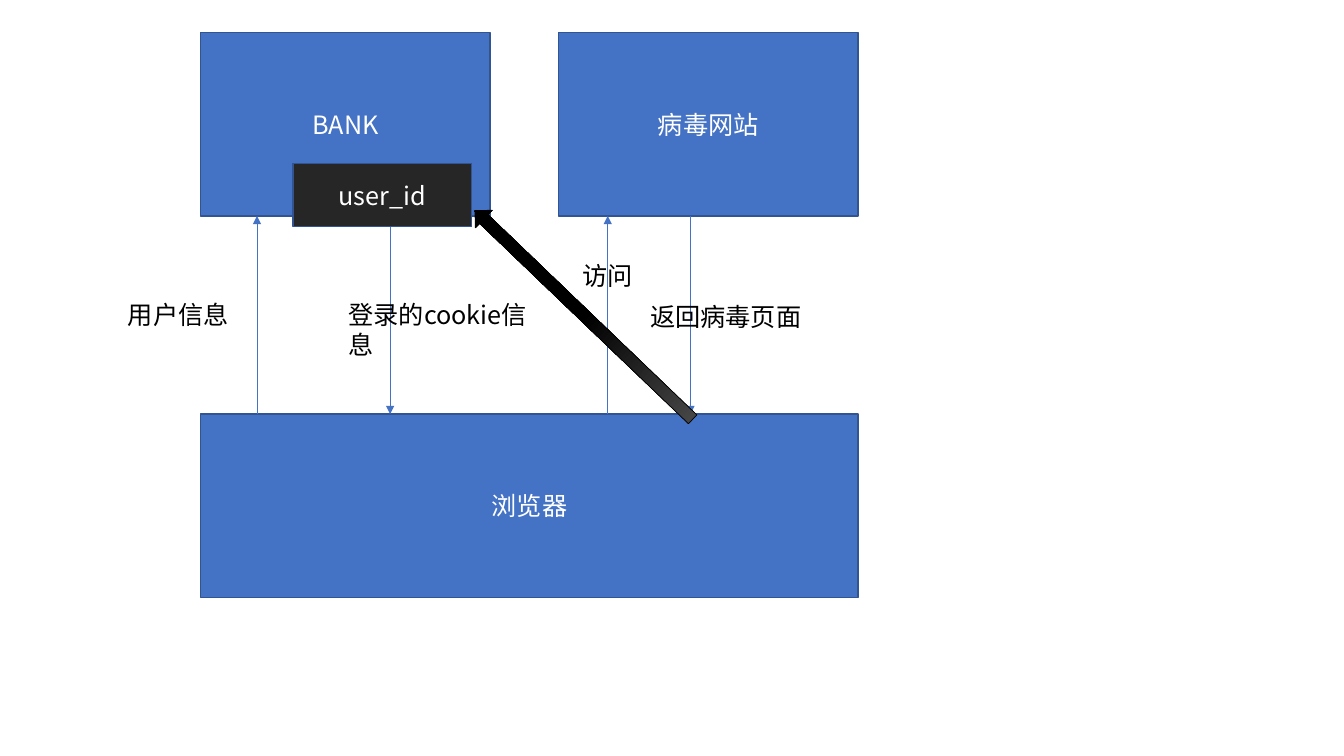
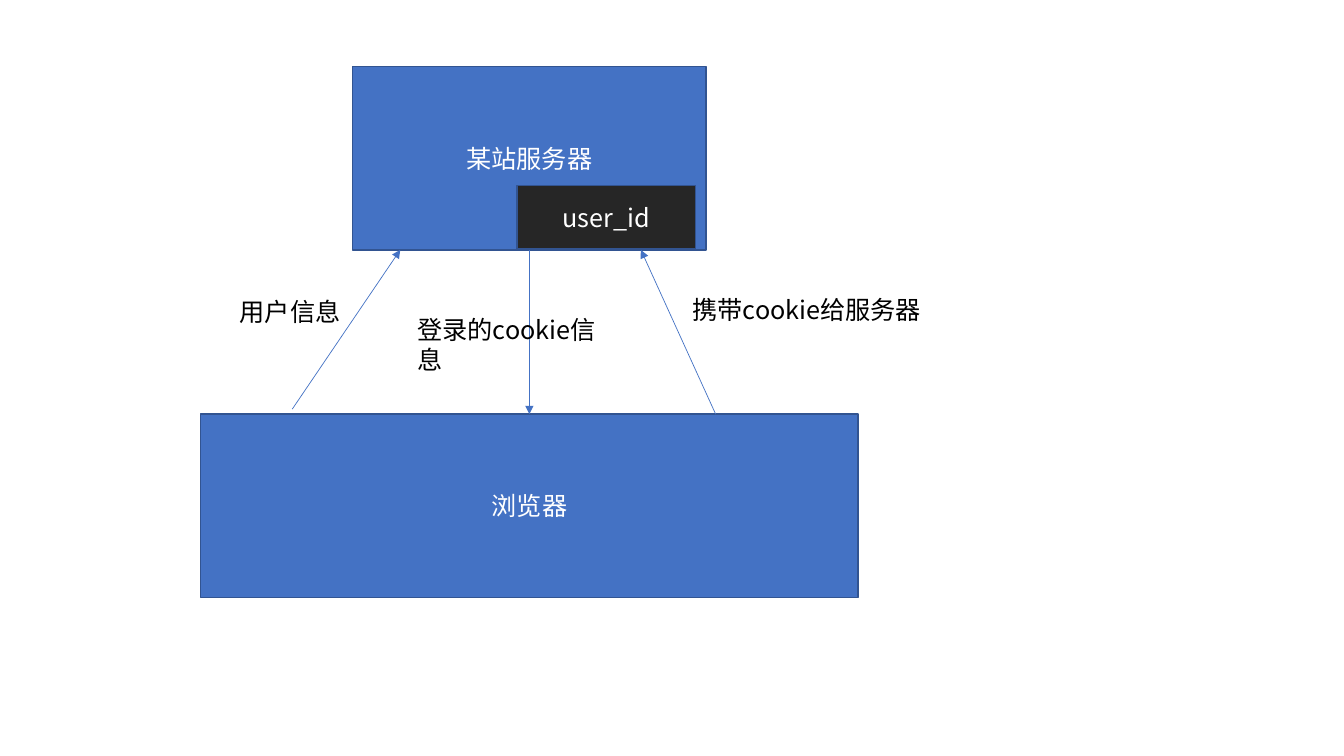
import dataclasses
import pptx
import pptx.dml.color
import pptx.enum.shapes
import pptx.enum.text
import pptx.oxml.ns
import pptx.util
import lxml.etree

FORM = pptx.enum.shapes.MSO_SHAPE
ALIGN = pptx.enum.text.PP_ALIGN
qn = pptx.oxml.ns.qn


# Colours and type sizes
@dataclasses.dataclass(frozen=True)
class Theme:
    blue: str = "4472C4"
    edge: str = "325491"
    dark: str = "262626"
    gray: str = "4B4B4B"
    black: str = "000000"
    white: str = "FFFFFF"
    font: str = "Noto Sans CJK SC"
    size: float = 18
    thin: float = 0.5
    frame: float = 1


def tint(code):
    return pptx.dml.color.RGBColor.from_string(code)


class Deck:
    """Draws on a grid of 32 columns by 18 rows."""

    def __init__(self, theme):
        self.theme = theme
        self.show = pptx.Presentation()
        self.show.slide_width = pptx.util.Inches(13.333)
        self.show.slide_height = pptx.util.Inches(7.5)
        self.page = None

    def start(self):
        self.page = self.show.slides.add_slide(self.show.slide_layouts[6]).shapes

    def place(self, *spots):
        cells = (self.show.slide_width / 32, self.show.slide_height / 18)
        return [round(spot * cells[i % 2]) for i, spot in enumerate(spots)]

    def text(self, frame, words, color, align):
        frame.word_wrap = True
        line = frame.paragraphs[0]
        line.alignment = align
        run = line.add_run()
        run.text = words
        run.font.size = pptx.util.Pt(self.theme.size)
        run.font.name = self.theme.font
        run.font.color.rgb = tint(color)
        east = lxml.etree.SubElement(run.font._element, qn("a:ea"))
        east.set("typeface", self.theme.font)

    def shape(self, form, spots, edge, width):
        item = self.page.add_shape(form, *self.place(*spots))
        item.shadow.inherit = False
        item.line.color.rgb = tint(edge)
        item.line.width = pptx.util.Pt(width)
        return item

    def box(self, words, *spots, fill=None):
        item = self.shape(FORM.RECTANGLE, spots, self.theme.edge, self.theme.frame)
        item.fill.solid()
        item.fill.fore_color.rgb = tint(fill or self.theme.blue)
        item.text_frame.vertical_anchor = pptx.enum.text.MSO_ANCHOR.MIDDLE
        self.text(item.text_frame, words, self.theme.white, ALIGN.CENTER)

    def label(self, words, left, top, width):
        item = self.page.add_textbox(*self.place(left, top, width, 0.96))
        self.text(item.text_frame, words, self.theme.black, ALIGN.LEFT)

    def arrow(self, *ends):
        kind = pptx.enum.shapes.MSO_CONNECTOR.STRAIGHT
        item = self.page.add_connector(kind, *self.place(*ends))
        item.line.color.rgb = tint(self.theme.blue)
        item.line.width = pptx.util.Pt(self.theme.thin)
        tip = lxml.etree.SubElement(item.line._get_or_add_ln(), qn("a:tailEnd"))
        tip.set("type", "triangle")
        lxml.etree.SubElement(item._element.spPr, qn("a:effectLst"))

    def strike(self, turn, *spots):
        item = self.shape(FORM.DOWN_ARROW, spots, self.theme.black, self.theme.thin)
        item.rotation = turn
        item.fill.gradient()
        item.fill.gradient_angle = 270
        shades = ((0, self.theme.gray), (0.5, self.theme.black))
        for stop, (spot, color) in zip(item.fill.gradient_stops, shades):
            stop.position = spot
            stop.color.rgb = tint(color)

    # Parts found on both slides
    def client(self):
        self.box("浏览器", LEFT, FLOOR, SPAN, TALL)

    def badge(self, left, top):
        self.box("user_id", left, top, 4.25, 1.51, fill=self.theme.dark)


# Shared grid lines
LEFT, SPAN = 4.78, 15.65
FLOOR, TALL = 9.86, 4.37
USER, LOGIN = "用户信息", "登录的cookie信息"
USER_W, LOGIN_W = 2.95, 5.21

deck = Deck(Theme())

# Slide 1: a hostile page reaches the login cookie
deck.start()
top = 0.77
base = top + TALL
deck.box("BANK", LEFT, top, 6.89, TALL)
deck.box("病毒网站", 13.3, top, 7.13, TALL)
deck.client()
for x, rises in ((6.12, True), (9.29, False), (14.47, True), (16.44, False)):
    deck.arrow(x, FLOOR if rises else base, x, base if rises else FLOOR)
deck.label(USER, 2.81, 7.01, USER_W)
deck.label(LOGIN, 8.06, 7.01, LOGIN_W)
deck.label("访问", 13.63, 6.07, 1.7)
deck.label("返回病毒页面", 15.24, 7.06, 4.13)
deck.strike(133.8, 13.61, 3.91, 0.58, 7.18)
deck.badge(6.98, 3.89)

# Slide 2: the normal cookie round trip
deck.start()
top = 1.58
base = top + TALL
mid = LEFT + SPAN / 2
deck.box("某站服务器", mid - 4.21, top, 8.42, TALL)
deck.client()
deck.arrow(6.96, 9.74, 9.53, base)
deck.arrow(mid, base, mid, FLOOR)
deck.arrow(17.04, FLOOR, 15.26, base)
deck.label(USER, 5.47, 6.94, USER_W)
deck.label(LOGIN, 9.7, 7.37, LOGIN_W)
deck.label("携带cookie给服务器", 16.25, 6.89, 6.02)
deck.badge(12.31, 4.42)

deck.show.save("out.pptx")
